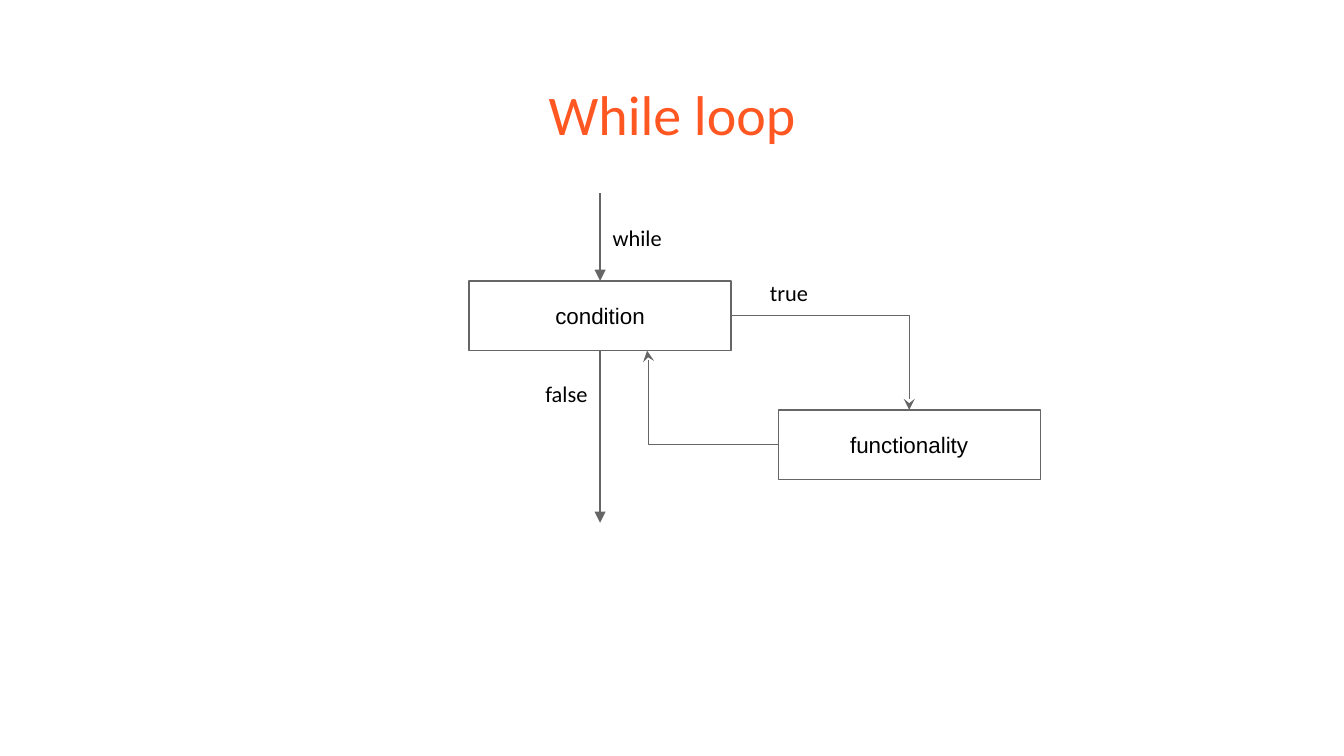
from lxml import etree
from pptx import Presentation
from pptx import util as u
from pptx.dml.color import RGBColor
from pptx.enum import shapes, text
from pptx.oxml import ns

GREY = "666666"
BOX_W, BOX_H = 1.95, 0.52


def color(code):
    """Return the colour for a hex string."""
    return RGBColor.from_string(code)


def write(shape, words, font="Calibri", size=12, ink="000000",
          align=text.PP_ALIGN.LEFT, anchor=text.MSO_ANCHOR.TOP):
    """Fill a shape with one formatted line of text."""
    frame = shape.text_frame
    frame.word_wrap = True
    frame.vertical_anchor = anchor
    frame.margin_left = frame.margin_right = u.Inches(0.1)
    frame.margin_top = frame.margin_bottom = u.Inches(0.1)
    para = frame.paragraphs[0]
    para.alignment = align
    run = para.add_run()
    run.text = words
    run.font.name = font
    run.font.size = u.Pt(size)
    run.font.color.rgb = color(ink)


def label(slide, words, left, top, width=1.23, height=0.43, **style):
    """Add a text box."""
    box = slide.shapes.add_textbox(*map(u.Inches, (left, top, width, height)))
    write(box, words, **style)


def step(slide, words, left, top):
    """Add an outlined flow box."""
    box = slide.shapes.add_shape(
        shapes.MSO_SHAPE.RECTANGLE,
        *map(u.Inches, (left, top, BOX_W, BOX_H)))
    box.shadow.inherit = False
    box.fill.background()
    box.line.color.rgb = color(GREY)
    box.line.width = u.Pt(0.75)
    write(box, words, font="Arial", align=text.PP_ALIGN.CENTER,
          anchor=text.MSO_ANCHOR.MIDDLE)
    return box


def arrow(slide, start, end, kind=shapes.MSO_CONNECTOR.STRAIGHT,
          head="triangle"):
    """Add a connector with an arrowhead at its end."""
    line = slide.shapes.add_connector(kind, *map(u.Inches, start + end))
    line.line.color.rgb = color(GREY)
    line.line.width = u.Pt(0.75)
    edge = line._element.spPr.find(ns.qn("a:ln"))
    etree.SubElement(edge, ns.qn("a:tailEnd")).set("type", head)
    etree.SubElement(line._element.spPr, ns.qn("a:effectLst"))
    return line


def elbow(slide, start, end, preset, bend=None):
    """Add a bent arrow with an optional bend position."""
    line = arrow(slide, start, end, shapes.MSO_CONNECTOR.ELBOW, "stealth")
    geom = line._element.spPr.find(ns.qn("a:prstGeom"))
    geom.set("prst", preset)
    if bend is not None:
        guide = etree.SubElement(geom.find(ns.qn("a:avLst")), ns.qn("a:gd"))
        guide.set("name", "adj1")
        guide.set("fmla", f"val {round(bend * 100000)}")


def title(slide, left, top, width, height):
    """Place the slide heading."""
    label(slide, "While loop", left, top, width, height, size=30,
          ink="FF5722", align=text.PP_ALIGN.CENTER)


def flow(slide, left, top, width, height):
    """Draw the loop diagram in the given box."""
    test_y, work_y = top + 0.65, top + 1.61
    work_x = left + width - BOX_W
    mid, base = left + BOX_W / 2, test_y + BOX_H
    test = step(slide, "condition", left, test_y)
    enter = arrow(slide, (mid, top), (mid, test_y))
    enter.end_connect(test, 0)
    step(slide, "functionality", work_x, work_y)
    elbow(slide, (left + BOX_W, test_y + BOX_H / 2),
          (work_x + BOX_W / 2, work_y), "bentConnector2")
    elbow(slide, (work_x, work_y + BOX_H / 2), (mid + 0.35, base),
          "bentConnector3", 0.99)
    leave = arrow(slide, (mid, base), (mid, top + height))
    leave.begin_connect(test, 2)
    for words, x, y in (("while", 0.97, 0.13), ("true", 2.14, 0.54),
                        ("false", 0.47, 1.29)):
        label(slide, words, left + x, top + y)


def main():
    """Build and save the slide."""
    deck = Presentation()
    deck.slide_width = u.Inches(10)
    deck.slide_height = deck.slide_width * 9 // 16
    slide = deck.slides.add_slide(deck.slide_layouts[6])
    title(slide, 0.34, 0.49, 9.32, 0.63)
    flow(slide, 3.49, 1.44, 4.25, 2.45)
    deck.save("out.pptx")


if __name__ == "__main__":
    main()
